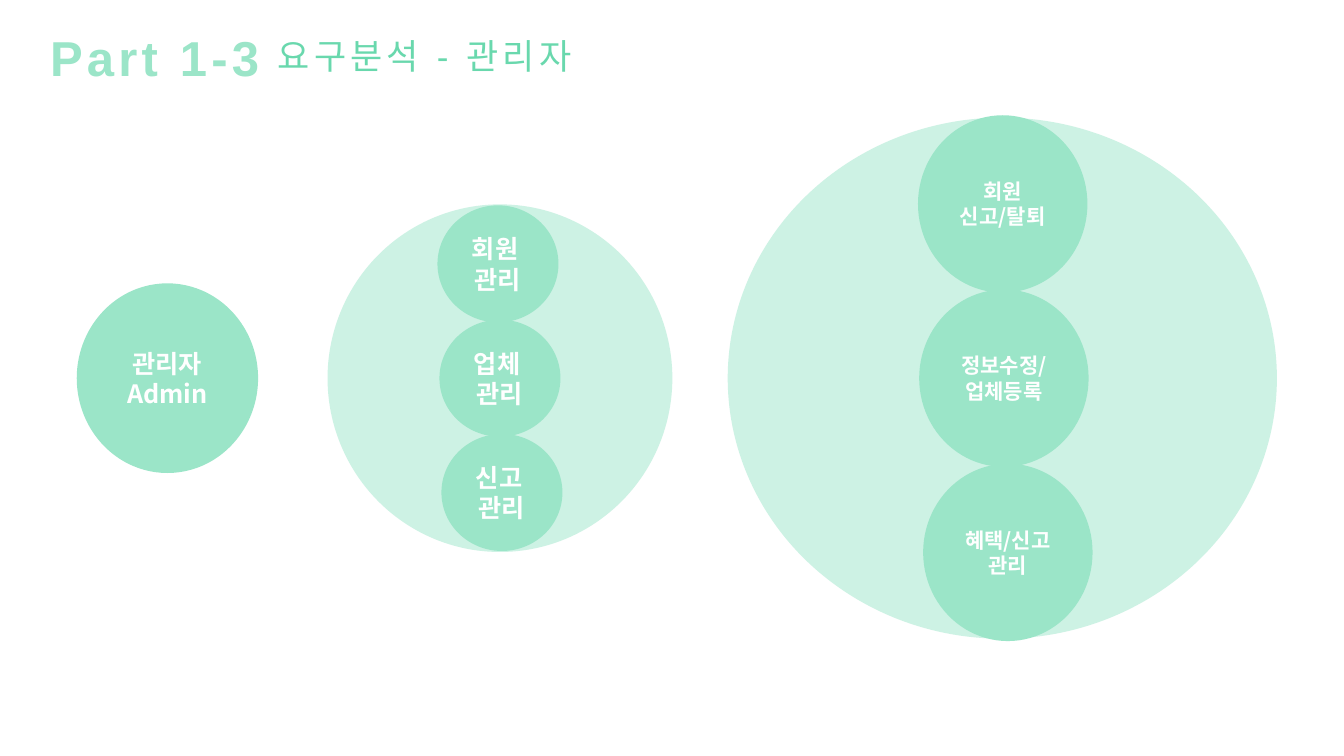
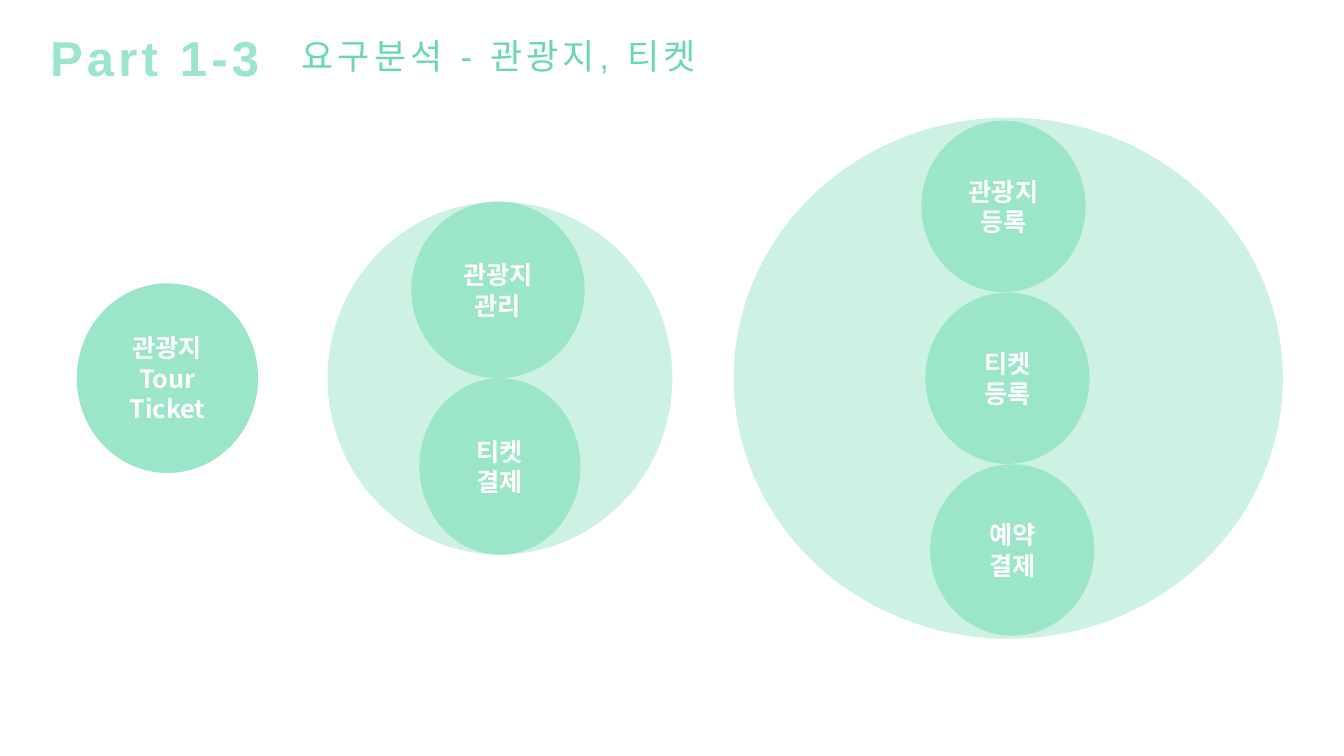
"""Build two requirement-analysis slides with stacked circles inside large circles."""
from pptx import Presentation
from pptx.dml.color import RGBColor
from pptx.enum import shapes, text
from pptx.oxml.ns import qn
from pptx.util import Cm, Pt
from lxml import etree

MINT = RGBColor(0x9B, 0xE5, 0xC8)
PALE_MINT = RGBColor(0xCD, 0xF2, 0xE4)
GREEN = RGBColor(0x69, 0xD8, 0xAD)
WHITE = RGBColor(0xFF, 0xFF, 0xFF)
TITLE_FONT = "Arial"
CIRCLE_FONT = "Noto Sans CJK KR"
PART = "Part 1-3"
MIDDLE = 9.53
ACTOR_CENTER, ACTOR_SIZE = 4.22, (4.57, 4.78)

SLIDES = [
    {
        "title": "요구분석 - 관리자",
        "title_width": 8.64,
        "actor": "관리자\nAdmin",
        "groups": [
            {"center": 12.6, "size": (8.69, 8.76), "height": 2.95, "pitch": 2.88, "points": 18,
             "circles": [("회원 \n관리", 12.55, 3.05), ("업체 \n관리", 12.6, 3.05),
                         ("신고 \n관리", 12.65, 3.05)]},
            {"center": 25.26, "size": (13.84, 13.13), "height": 4.47, "pitch": 4.39, "points": 15,
             "circles": [("회원\n신고/탈퇴", 25.27, 4.27), ("정보수정/\n업체등록", 25.3, 4.27),
                         ("혜택/신고\n관리", 25.4, 4.27)]},
        ],
    },
    {
        "title": "요구분석 - 관광지, 티켓",
        "title_width": 12.37,
        "actor": "관광지\nTour\nTicket",
        "groups": [
            {"center": 12.6, "size": (8.69, 8.89), "height": 4.45, "pitch": 4.45, "points": 18,
             "circles": [("관광지\n관리", 12.55, 4.37), ("티켓\n결제", 12.6, 4.06)]},
            {"center": 25.41, "size": (13.84, 13.13), "height": 4.32, "pitch": 4.33, "points": 18,
             "circles": [("관광지\n등록", 25.29, 4.14), ("티켓\n등록", 25.39, 4.14),
                         ("예약\n결제", 25.51, 4.14)]},
        ],
    },
]


def write(shape, words, font_name, points, color, bold, spacing=0):
    """Fill a shape with centred, formatted text."""
    shape.text_frame.text = words
    for paragraph in shape.text_frame.paragraphs:
        paragraph.alignment = text.PP_ALIGN.CENTER
        for run in paragraph.runs:
            font = run.font
            font.name, font.size, font.bold = font_name, Pt(points), bold
            font.color.rgb = color
            properties = run._r.get_or_add_rPr()
            etree.SubElement(properties, qn("a:ea")).set("typeface", font_name)
            if spacing:
                properties.set("spc", str(spacing * 100))


def write_heading(shape, box, words, points, color, bold):
    """Place one part of the heading line."""
    shape.left, shape.top, shape.width, shape.height = (Cm(length) for length in box)
    frame = shape.text_frame
    frame.word_wrap = True
    frame.auto_size = text.MSO_AUTO_SIZE.NONE
    frame.vertical_anchor = text.MSO_ANCHOR.TOP
    write(shape, words, TITLE_FONT, points, color, bold, spacing=3)
    frame.paragraphs[0].line_spacing = 1.0


def add_circle(slide, center_x, center_y, size, color, words="", points=18):
    """Add an ellipse around a centre point."""
    width, height = size
    circle = slide.shapes.add_shape(
        shapes.MSO_SHAPE.OVAL, Cm(center_x - width / 2), Cm(center_y - height / 2),
        Cm(width), Cm(height))
    circle.shadow.inherit = False
    circle.fill.solid()
    circle.fill.fore_color.rgb = color
    circle.line.fill.background()
    if words:
        circle.text_frame.vertical_anchor = text.MSO_ANCHOR.MIDDLE
        write(circle, words, CIRCLE_FONT, points, WHITE, True)


def add_group(slide, group):
    """Add a pale circle with a column of evenly spaced circles."""
    add_circle(slide, group["center"], MIDDLE, group["size"], PALE_MINT)
    circles = group["circles"]
    first = MIDDLE - group["pitch"] * (len(circles) - 1) / 2
    for index, (words, center_x, width) in enumerate(circles):
        add_circle(slide, center_x, first + index * group["pitch"],
                   (width, group["height"]), MINT, words, group["points"])


def main():
    """Create and save the presentation."""
    presentation = Presentation()
    presentation.slide_width, presentation.slide_height = Cm(33.87), Cm(19.05)
    for content in SLIDES:
        slide = presentation.slides.add_slide(presentation.slide_layouts[5])
        part = slide.shapes.add_textbox(0, 0, 0, 0)
        write_heading(part, (0, 0.56, 7.8, 1.73), PART, 35, MINT, True)
        write_heading(slide.shapes.title, (6.38, 0.74, content["title_width"], 1.3),
                      content["title"], 25, GREEN, False)
        add_circle(slide, ACTOR_CENTER, MIDDLE, ACTOR_SIZE, MINT, content["actor"])
        for group in content["groups"]:
            add_group(slide, group)
    presentation.save("out.pptx")


if __name__ == "__main__":
    main()
